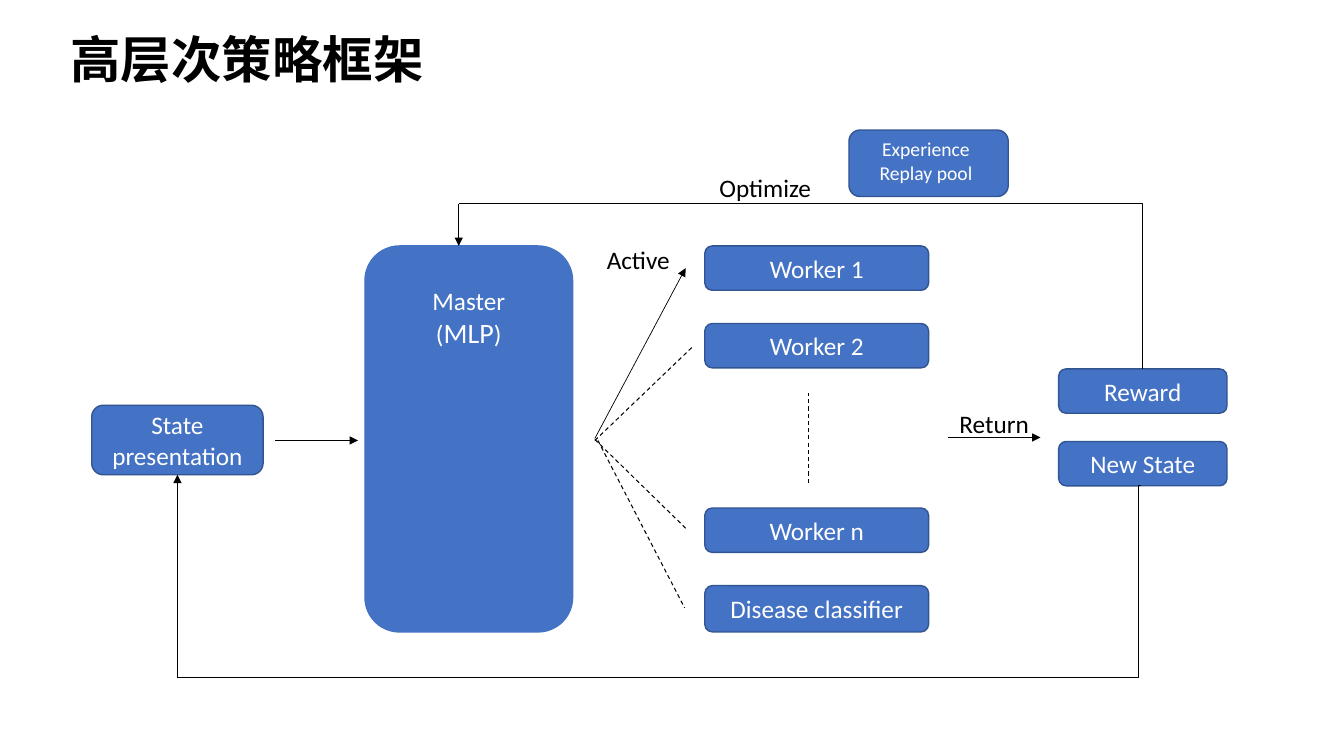
from lxml import etree
from pptx import Presentation
from pptx.dml.color import RGBColor
from pptx.enum.dml import MSO_LINE
from pptx.enum.shapes import MSO_CONNECTOR, MSO_SHAPE
from pptx.enum.text import MSO_ANCHOR, MSO_AUTO_SIZE, PP_ALIGN
from pptx.oxml.ns import qn
from pptx.util import Inches, Pt

COLORS = {
    "box": "4472C4",
    "border": "325491",
    "light": "FFFFFF",
    "dark": "000000",
}


def write_text(shape, lines, size, color):
    frame = shape.text_frame
    frame.word_wrap = True
    frame.text = "\n".join(lines)
    for paragraph in frame.paragraphs:
        paragraph.alignment = PP_ALIGN.CENTER
        paragraph.font.name = "Calibri"
        paragraph.font.size = Pt(size)
        paragraph.font.color.rgb = RGBColor.from_string(COLORS[color])


def draw_line(start, end, width=0.5, dashed=False, arrow=False, kind=MSO_CONNECTOR.STRAIGHT):
    points = [Inches(value) for value in (*start, *end)]
    connector = slide.shapes.add_connector(kind, *points)
    connector.line.color.rgb = RGBColor.from_string(COLORS["dark"])
    connector.line.width = Pt(width)
    if dashed:
        connector.line.dash_style = MSO_LINE.DASH
    if arrow:
        outline = connector.line._get_or_add_ln()
        etree.SubElement(outline, qn("a:tailEnd"), type="triangle")
    etree.SubElement(connector._element.spPr, qn("a:effectLst"))
    return connector


presentation = Presentation()
presentation.slide_width = Inches(13.33)
presentation.slide_height = Inches(7.5)
slide = presentation.slides.add_slide(presentation.slide_layouts[5])

title = slide.shapes.title
title.left, title.top = Inches(0.6), Inches(0.29)
title.width, title.height = Inches(11.05), Inches(0.66)
title.text_frame.text = "高层次策略框架"
title.text_frame.auto_size = MSO_AUTO_SIZE.NONE
title.text_frame.vertical_anchor = MSO_ANCHOR.MIDDLE
heading = title.text_frame.paragraphs[0]
heading.alignment = PP_ALIGN.LEFT
heading.line_spacing = 0.9
heading.font.name = "Arial"
heading.font.size = Pt(36)
heading.font.bold = True
heading.font.color.rgb = RGBColor.from_string(COLORS["dark"])

boxes = {}
for lines, left, top, width, height, size, border in [
    (["State presentation"], 0.91, 4.02, 1.7, 0.69, 18, "border"),
    (["Master", "("], 3.62, 2.44, 2.06, 3.83, 18, "box"),
    (["Worker 1"], 6.99, 2.44, 2.22, 0.44, 18, "border"),
    (["Worker 2"], 6.99, 3.21, 2.22, 0.44, 18, "border"),
    (["Worker n"], 6.99, 5.04, 2.22, 0.44, 18, "border"),
    (["Disease classifier"], 6.99, 5.81, 2.22, 0.46, 18, "border"),
    (["Reward"], 10.5, 3.66, 1.67, 0.44, 18, "border"),
    (["New State"], 10.5, 4.38, 1.67, 0.44, 18, "border"),
    (["Experience", "Replay pool"], 8.42, 1.29, 1.58, 0.66, 14, "border"),
]:
    box = slide.shapes.add_shape(
        MSO_SHAPE.ROUNDED_RECTANGLE,
        Inches(left), Inches(top), Inches(width), Inches(height),
    )
    box.shadow.inherit = False
    box.fill.solid()
    box.fill.fore_color.rgb = RGBColor.from_string(COLORS["box"])
    box.line.color.rgb = RGBColor.from_string(COLORS[border])
    box.line.width = Pt(1)
    box.text_frame.vertical_anchor = MSO_ANCHOR.MIDDLE
    write_text(box, lines, size, "light")
    boxes[lines[0]] = box

for name, margin_top, margin_right in [("Master", 0.29, 0.1), ("Experience", 0.04, 0.15)]:
    frame = boxes[name].text_frame
    frame.vertical_anchor = MSO_ANCHOR.TOP
    frame.margin_top = Inches(margin_top)
    frame.margin_right = Inches(margin_right)

network = boxes["Master"].text_frame.paragraphs[1]
acronym = network.add_run()
acronym.text = "MLP"
acronym.font.size = Pt(20)
network.add_run().text = ")"

for text, left, top in [
    ("Active", 5.62, 2.37),
    ("Return", 9.15, 4),
    ("Optimize", 6.88, 1.66),
]:
    label = slide.shapes.add_textbox(
        Inches(left), Inches(top), Inches(1.42), Inches(0.35)
    )
    write_text(label, [text], 18, "dark")

for start, end in [
    ((2.73, 4.37), (3.55, 4.37)),
    ((5.9, 4.35), (6.8, 2.66)),
    ((9.4, 4.34), (10.32, 4.34)),
    ((4.55, 2.02), (4.55, 2.44)),
]:
    draw_line(start, end, arrow=True)

for start, end in [
    ((5.9, 4.37), (6.88, 3.43)),
    ((8.02, 4.79), (8.02, 3.9)),
    ((5.9, 4.36), (6.8, 5.24)),
    ((5.93, 4.37), (6.79, 6.03)),
]:
    draw_line(start, end, width=0.75, dashed=True)

for start, end, bend in [
    ((11.33, 3.66), (4.55, 2.02), 0),
    ((11.32, 4.82), (1.76, 6.72), 300),
]:
    elbow = draw_line(start, end, kind=MSO_CONNECTOR.ELBOW)
    guides = elbow._element.spPr.find(qn("a:prstGeom")).find(qn("a:avLst"))
    etree.SubElement(guides, qn("a:gd"), name="adj1", fmla=f"val {bend}")

state_up = draw_line((1.76, 6.72), (1.76, 4.71), arrow=True)
state_up.end_connect(boxes["State presentation"], 2)

presentation.save("out.pptx")
